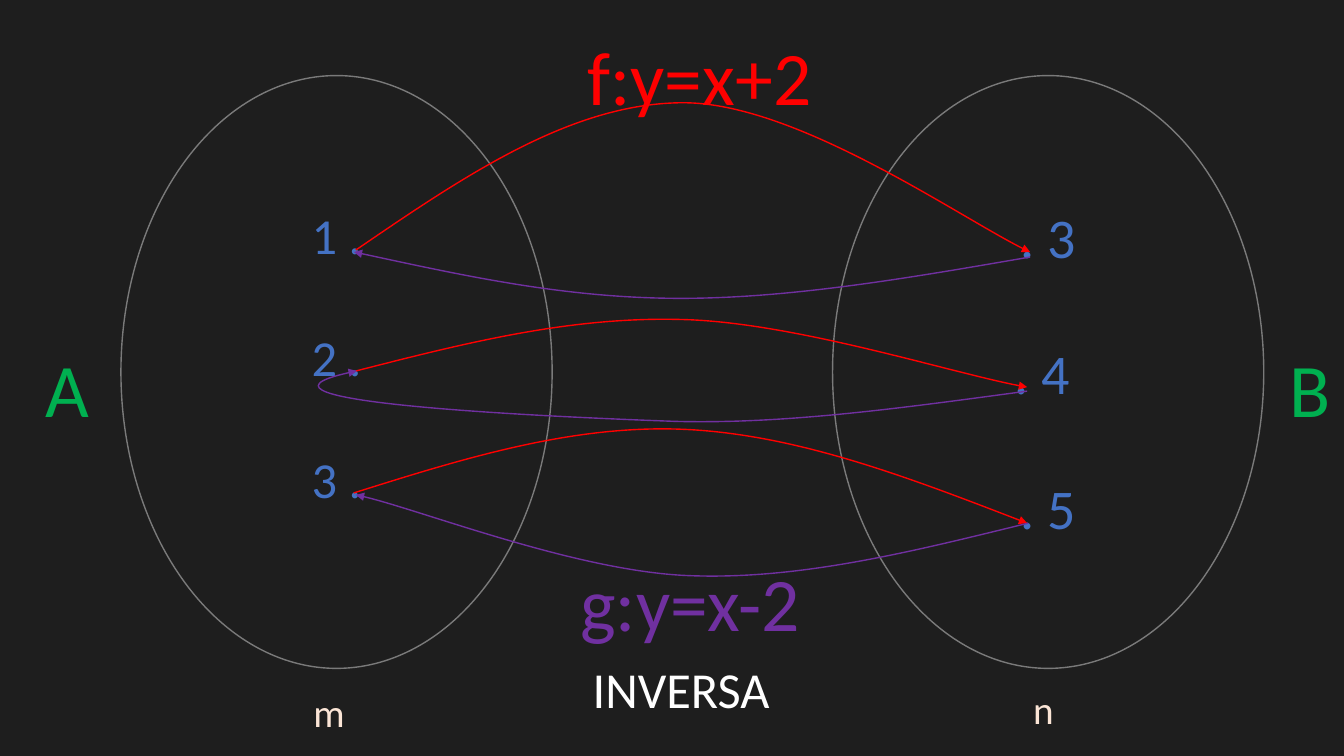
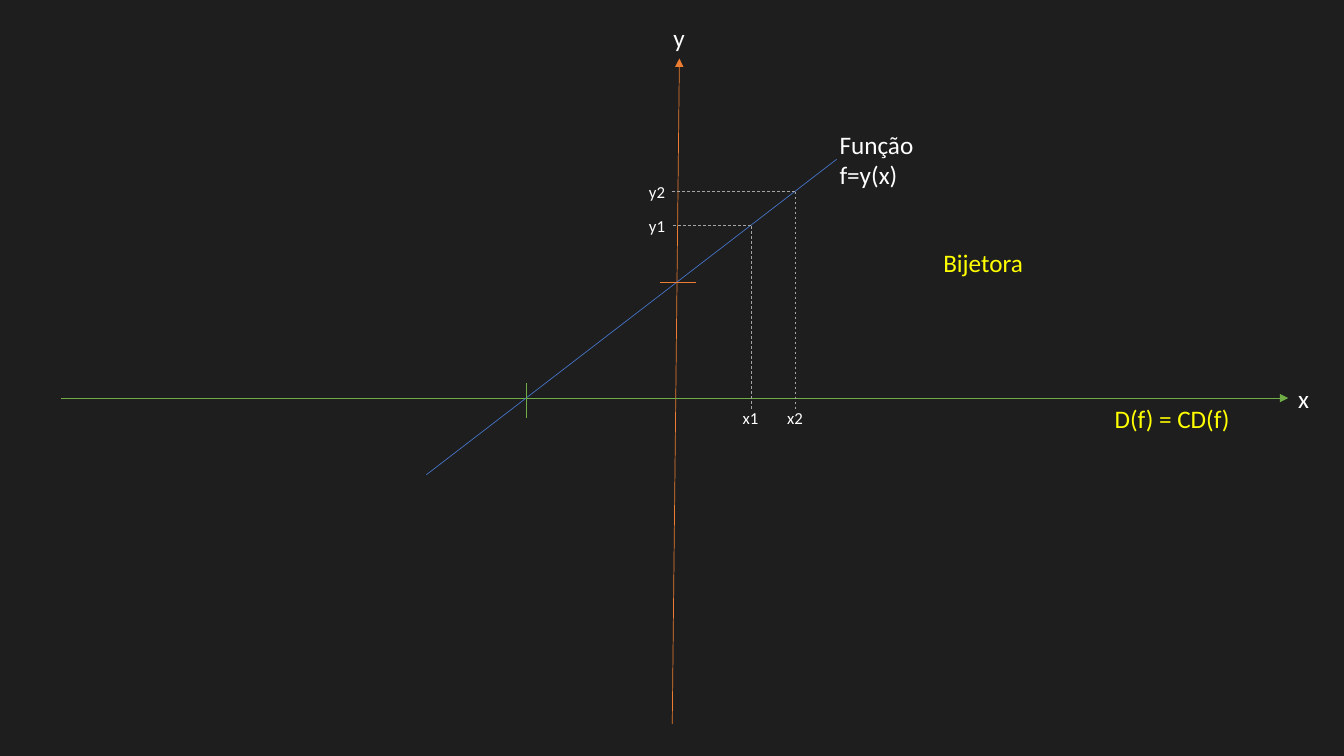
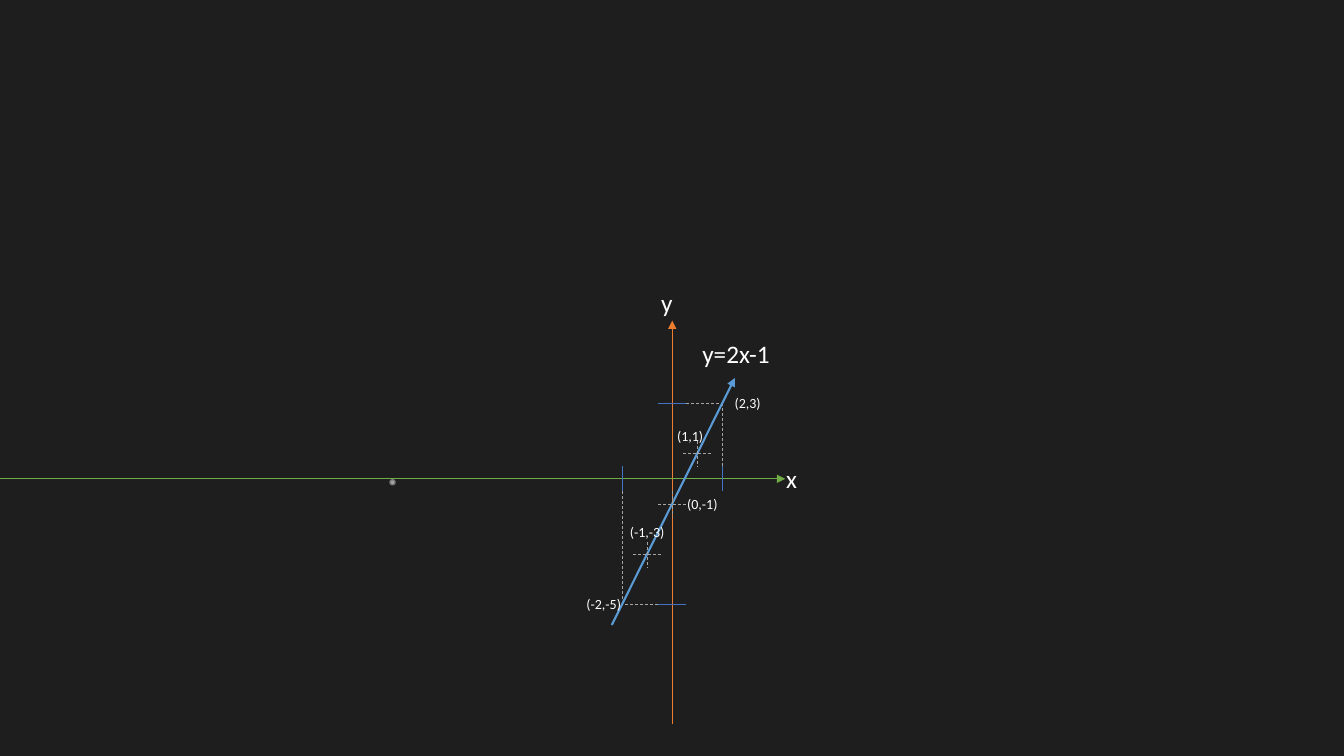
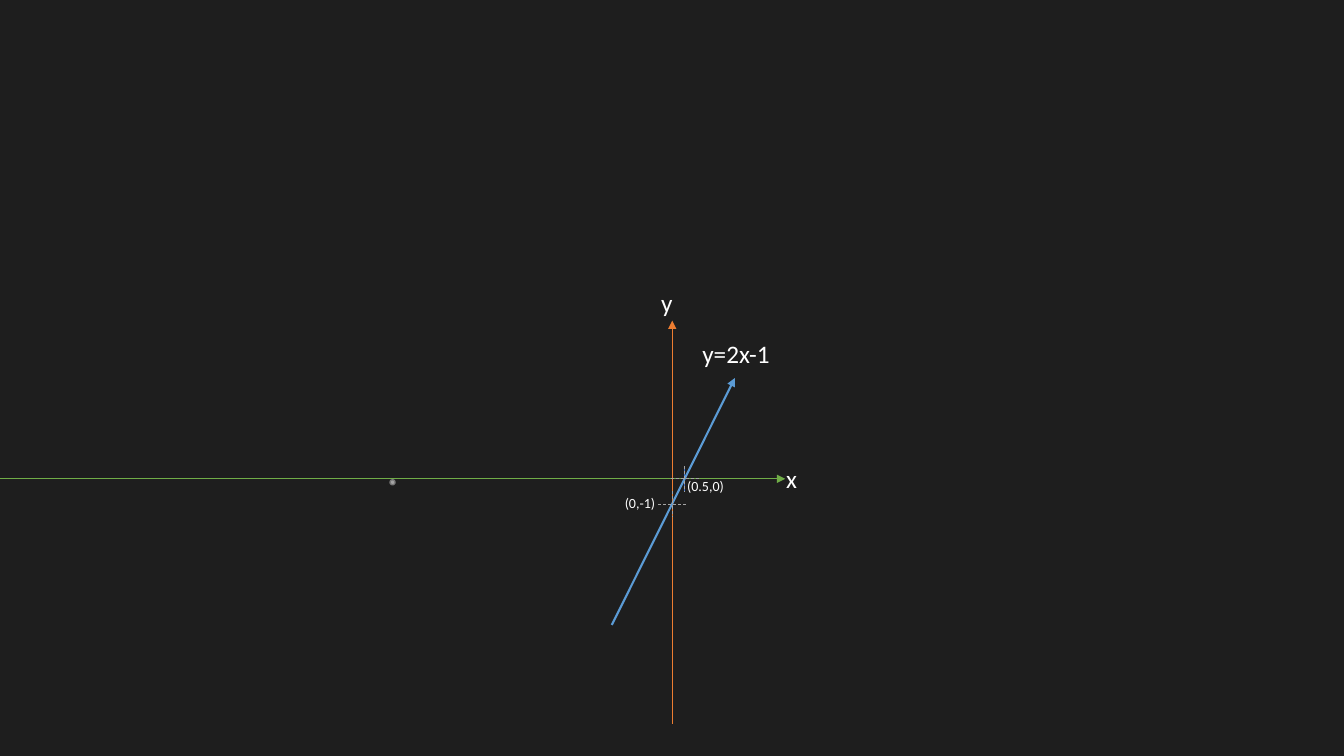
from dataclasses import dataclass

from lxml import etree
from pptx import Presentation
from pptx.dml.color import RGBColor
from pptx.enum.dml import MSO_LINE
from pptx.enum.shapes import MSO_CONNECTOR, MSO_SHAPE
from pptx.enum.text import MSO_ANCHOR, MSO_AUTO_SIZE, PP_ALIGN
from pptx.oxml.ns import qn
from pptx.util import Pt

STRAIGHT = MSO_CONNECTOR.STRAIGHT
ELLIPSE = MSO_SHAPE.OVAL
DASH = MSO_LINE.DASH
MIDDLE = MSO_ANCHOR.MIDDLE
CENTER = PP_ALIGN.CENTER
GROW = MSO_AUTO_SIZE.SHAPE_TO_FIT_TEXT


@dataclass(frozen=True)
class Theme:
    font: str = "Calibri"
    background: str = "1E1E1E"
    white: str = "FFFFFF"
    yellow: str = "FFFF00"
    red: str = "FF0000"
    purple: str = "7030A0"
    set_name: str = "00B050"
    set_size: str = "FBE5D6"
    blue: str = "4472C4"
    light_blue: str = "5B9BD5"
    orange: str = "ED7D31"
    green: str = "70AD47"
    gray: str = "A5A5A5"
    outline: str = "7A7A7A"
    huge: int = 54
    range_size: int = 40
    large: int = 36
    medium: int = 28
    body: int = 18
    small: int = 12
    tiny: int = 10
    thin: float = 0.5
    normal: float = 1
    thick: float = 1.5


T = Theme()
LINE_HEIGHT = 1.22

# Coordinate plane of the last two slides
ORIGIN_X, ORIGIN_Y, UNIT = 480.2, 342, 18
TICK_X, TICK_Y = 10.1, 9

# Each curve: start, then two control points and an end per segment
F_CURVES = [
    [(254.2, 265), (330.5, 245.5), (406.1, 226.1), (486, 228.2),
     (565.9, 229.7), (686.2, 268.6), (733.7, 276.5)],
    [(252.7, 352.1), (330.5, 327.6), (409, 303.1), (488.9, 306.7),
     (568.8, 310.3), (651.6, 342), (733.7, 373.7)],
    [(254.2, 178.6), (331.2, 126), (408.2, 73.4), (488.2, 73.4),
     (568.8, 73.4), (691.9, 159.8), (735.8, 180)],
]
G_CURVES = [
    [(734.4, 373.7), (652.3, 393.8), (570.2, 414.7), (490.3, 411.1),
     (410.4, 407.5), (291.6, 360.7), (254.2, 353.5)],
    [(733.7, 279.4), (648, 290.9), (562.3, 303.1), (482.4, 301),
     (402.5, 298.1), (143.3, 287.3), (254.9, 265)],
    [(735.8, 183.6), (648.7, 198.7), (561.6, 213.8), (481, 213.1),
     (400.3, 212.4), (326.2, 195.8), (252.7, 180)],
]


def rgb(color):
    return RGBColor.from_string(color)


def add_slide(prs):
    return prs.slides.add_slide(prs.slide_layouts[6])


def add_run(p, text, size, color):
    r = p.add_run()
    r.text = text
    r.font.name = T.font
    r.font.size = Pt(size)
    r.font.color.rgb = rgb(color)


def text_height(size, lines=1):
    return 1.21 * size * lines + 7.2


def add_text(s, left, top, width, text, size=T.body, color=T.white):
    lines = text.split("\n")
    sp = s.shapes.add_textbox(Pt(left), Pt(top), Pt(width),
                              Pt(text_height(size, len(lines))))
    tf = sp.text_frame
    tf.word_wrap = False
    tf.auto_size = GROW
    for i, line in enumerate(lines):
        p = tf.add_paragraph() if i else tf.paragraphs[0]
        add_run(p, line, size, color)


def style_line(line, color, width, arrow=False, dashed=False):
    line.color.rgb = rgb(color)
    line.width = Pt(width)
    if dashed:
        line.dash_style = DASH
    if arrow:
        ln = line._get_or_add_ln()
        etree.SubElement(ln, qn("a:tailEnd"), type="triangle")


def add_line(shapes, start, end, color, width=T.thin, arrow=False, dashed=False):
    cx = shapes.add_connector(STRAIGHT, *(Pt(v) for v in (*start, *end)))
    style_line(cx.line, color, width, arrow, dashed)
    etree.SubElement(cx._element.spPr, qn("a:effectLst"))


def add_guide(shapes, start, end):
    add_line(shapes, start, end, T.gray, dashed=True)


def add_ellipse(s, left, top, width, height, fill=None):
    sp = s.shapes.add_shape(ELLIPSE, Pt(left), Pt(top), Pt(width), Pt(height))
    sp.shadow.inherit = False
    if fill:
        sp.fill.solid()
        sp.fill.fore_color.rgb = rgb(fill)
    else:
        sp.fill.background()
    style_line(sp.line, T.outline, T.normal)
    return sp


def add_set(s, left, members, size, space_below=0):
    """Draw a set as an ellipse whose members stand one blank line apart."""
    tf = add_ellipse(s, left, 54, 308, 423.4).text_frame
    tf.vertical_anchor = MIDDLE
    tf.margin_bottom = Pt(3.6 + space_below)
    for i, member in enumerate(members):
        p = tf.add_paragraph() if i else tf.paragraphs[0]
        p.alignment = CENTER
        if i:
            p.space_before = Pt(round(size * LINE_HEIGHT, 1))
        add_run(p, member, size, T.blue)


def bezier(a, b, c, d, t):
    u = 1 - t
    return tuple(u**3 * p + 3 * u * u * t * q + 3 * u * t * t * r + t**3 * v
                 for p, q, r, v in zip(a, b, c, d))


def add_curve(s, points, color):
    """Trace the curve to get its box, then swap the trace for cubic segments."""
    points = [(Pt(x), Pt(y)) for x, y in points]
    starts = range(0, len(points) - 1, 3)
    trace = [bezier(*points[i:i + 4], step / 20)
             for i in starts for step in range(1, 21)]
    builder = s.shapes.build_freeform(*points[0])
    builder.add_line_segments(trace, close=False)
    sp = builder.convert_to_shape()
    sp.shadow.inherit = False
    sp.fill.background()
    style_line(sp.line, color, T.normal, arrow=True)
    path = sp._element.find(".//" + qn("a:path"))
    for segment in list(path)[1:]:
        path.remove(segment)
    for i in starts:
        cubic = etree.SubElement(path, qn("a:cubicBezTo"))
        for x, y in points[i + 1:i + 4]:
            etree.SubElement(cubic, qn("a:pt"),
                             x=str(x - sp.left), y=str(y - sp.top))


def plane(x, y):
    return ORIGIN_X + x * UNIT, ORIGIN_Y - y * UNIT


def tick_ends(x, y, across):
    """Ends of a short stroke centred on a point of the plane."""
    px, py = plane(x, y)
    dx, dy = (TICK_X, 0) if across else (0, TICK_Y)
    return (px - dx, py - dy), (px + dx, py + dy)


def add_cross(s, x, y):
    group = s.shapes.add_group_shape()
    for across in (True, False):
        add_guide(group.shapes, *tick_ends(x, y, across))


def add_projected_point(s, x, y):
    """Mark a point on both axes and join it to the marks with guides."""
    px, py = plane(x, y)
    add_line(s.shapes, *tick_ends(0, y, True), T.blue)
    add_line(s.shapes, *tick_ends(x, 0, False), T.blue)
    x_side = 1 if x > 0 else -1
    y_side = 1 if y > 0 else -1
    add_guide(s.shapes, (px, ORIGIN_Y - y_side * TICK_Y), (px, py))
    add_guide(s.shapes, (ORIGIN_X + x_side * TICK_X, py), (px, py))


def add_plane(s):
    add_line(s.shapes, (ORIGIN_X, 517), (ORIGIN_X, 229), T.orange, arrow=True)
    add_line(s.shapes, (0, ORIGIN_Y), (560.9, ORIGIN_Y), T.green, arrow=True)
    add_text(s, 465.1, 201.6, 23, "y")
    add_text(s, 554.4, 327.6, 23, "x")
    add_text(s, 494.6, 238.3, 63.4, "y=2x-1")
    add_ellipse(s, 278.6, 342.7, 3.6, 3.6, T.gray)


def add_graph(s):
    add_line(s.shapes, (437, 446.4), (524.9, 270), T.light_blue, T.thick, arrow=True)


def add_point_label(s, left, top, width, text):
    add_text(s, left, top, width, text, T.tiny)


def build_inverse(prs):
    s = add_slide(prs)
    add_set(s, 86.4, ["1 .", "2 .", "3 ."], T.large, T.body * LINE_HEIGHT)
    add_text(s, 25.2, 240.5, 46.1, "A", T.huge, T.set_name)
    add_set(s, 594.7, [". 3", ". 4 ", ". 5"], T.range_size)
    add_text(s, 913.7, 240.5, 43.9, "B", T.huge, T.set_name)
    add_text(s, 416.2, 466.6, 142.6, "INVERSA", T.large)
    add_text(s, 412.6, 18, 176.4, "f:y=x+2", T.huge, T.red)
    add_text(s, 216.7, 488.2, 37.4, "m", T.medium, T.set_size)
    add_text(s, 730.8, 486, 29.5, "n", T.medium, T.set_size)
    add_text(s, 407.5, 393.8, 174.2, "g:y=x-2", T.huge, T.purple)
    for curves, color in ((F_CURVES, T.red), (G_CURVES, T.purple)):
        for points in curves:
            add_curve(s, points, color)


def build_bijective(prs):
    s = add_slide(prs)
    axis_x, axis_y = 480.2, 284.4
    add_line(s.shapes, (axis_x, 517), (485.3, 41.8), T.orange, arrow=True)
    add_line(s.shapes, (43.9, axis_y), (920.2, axis_y), T.green, arrow=True)
    add_text(s, 473.8, 12.2, 23, "y")
    add_text(s, 920.2, 270, 23, "x")
    add_line(s.shapes, (304.6, 339.1), (597.6, 113.8), T.blue)
    add_line(s.shapes, (375.8, 273.6), (375.8, 298.8), T.green)
    add_line(s.shapes, (471.6, 201.6), (496.8, 201.6), T.orange)
    add_text(s, 592.6, 88.6, 67.7, "Função\nf=y(x)")
    label_width = 25.9
    for i, (x, y) in enumerate([(536.4, 161.3), (568.1, 136.8)], 1):
        add_guide(s.shapes, (x, y), (x, 293))
        add_guide(s.shapes, (x, y), (axis_x, y))
        add_text(s, 456.5, y - text_height(T.small) / 2, label_width, f"y{i}", T.small)
        add_text(s, x - label_width / 2, 288, label_width, f"x{i}", T.small)
    add_text(s, 789.1, axis_y, 97.9, "D(f) = CD(f)", color=T.yellow)
    add_text(s, 666.7, 172.8, 72, "Bijetora", color=T.yellow)


def build_points(prs):
    s = add_slide(prs)
    add_plane(s)
    for x, y in ((-2, -5), (2, 3)):
        add_projected_point(s, x, y)
    add_graph(s)
    for x, y in ((-1, -3), (0, -1), (1, 1)):
        add_cross(s, x, y)
    add_point_label(s, 411.8, 421.9, 39.6, "(-2,-5)")
    add_point_label(s, 517.7, 278.6, 33.1, "(2,3)")
    add_point_label(s, 442.8, 370.1, 39.6, "(-1,-3)")
    add_point_label(s, 483.8, 350.6, 36.7, "(0,-1)")
    add_point_label(s, 476.6, 301.7, 33.1, "(1,1)")


def build_intercepts(prs):
    s = add_slide(prs)
    add_plane(s)
    add_line(s.shapes, *tick_ends(0.5, 0, False), T.blue)
    add_graph(s)
    for x, y in ((0, -1), (0.5, 0)):
        add_cross(s, x, y)
    add_point_label(s, 439.2, 350, 36.7, "(0,-1)")
    add_point_label(s, 483.8, 337.7, 41, "(0.5,0)")


def main():
    prs = Presentation()
    prs.slide_width, prs.slide_height = Pt(960), Pt(540)
    fill = prs.slide_master.background.fill
    fill.solid()
    fill.fore_color.rgb = rgb(T.background)
    build_inverse(prs)
    build_bijective(prs)
    build_points(prs)
    build_intercepts(prs)
    prs.save("out.pptx")


if __name__ == "__main__":
    main()
